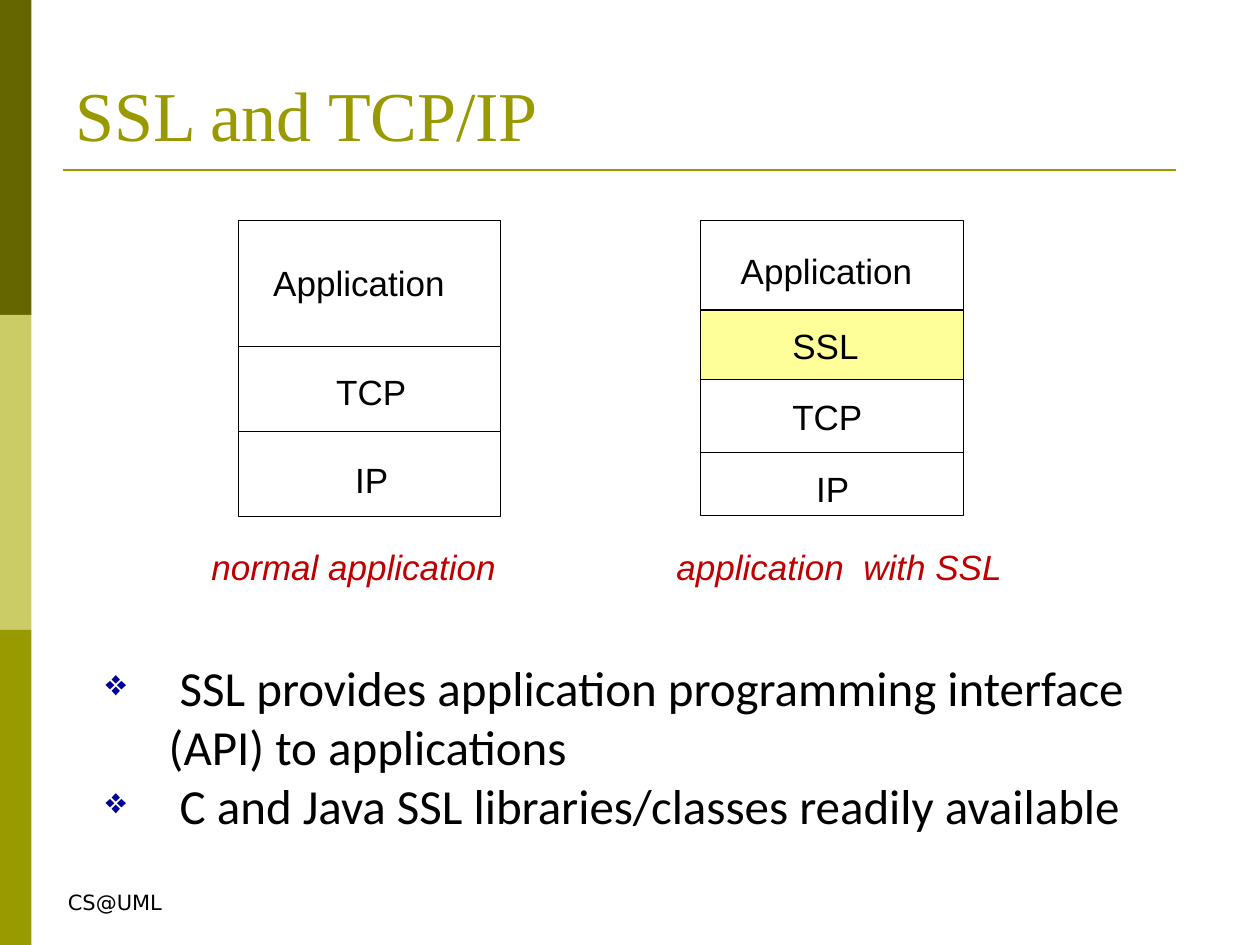
from lxml import etree
from pptx import Presentation
from pptx.dml.color import RGBColor
from pptx.enum import shapes, text
from pptx.oxml.ns import qn
from pptx.util import Inches, Pt


def tint(code):
    return RGBColor.from_string(code)


class Deck:
    cols, rows = 100, 75
    ink, olive, red, navy = "000000", "999900", "C00000", "000099"
    sans, serif, body, small = "Arial", "Times New Roman", "Calibri", "DejaVu Sans"

    def __init__(self):
        self.file = Presentation()
        self.file.slide_width, self.file.slide_height = Inches(10), Inches(7.5)
        self.slide = self.file.slides.add_slide(self.file.slide_layouts[6])

    def span(self, x, y, w, h):
        dx = self.file.slide_width / self.cols
        dy = self.file.slide_height / self.rows
        return [round(n) for n in (x * dx, y * dy, w * dx, h * dy)]

    def rect(self, x, y, w, h, fill=None, line=None):
        box = self.slide.shapes.add_shape(
            shapes.MSO_SHAPE.RECTANGLE, *self.span(x, y, w, h))
        box.shadow.inherit = False
        if fill:
            box.fill.solid()
            box.fill.fore_color.rgb = tint(fill)
        else:
            box.fill.background()
        if line:
            box.line.color.rgb = tint(line)
            box.line.width = Pt(0.75)
        else:
            box.line.fill.background()

    def rule(self, x, y, w):
        left, top, width, _ = self.span(x, y, w, 0)
        line = self.slide.shapes.add_connector(
            shapes.MSO_CONNECTOR.STRAIGHT, left, top, left + width, top)
        line.line.color.rgb = tint(self.olive)
        line.line.width = Pt(1.5)
        etree.SubElement(line._element.spPr, qn("a:effectLst"))

    def bullet(self, para):
        props = para._p.get_or_add_pPr()
        props.set("marL", str(Inches(0.5)))
        props.set("indent", str(-Inches(0.5)))
        color = etree.SubElement(props, qn("a:buClr"))
        etree.SubElement(color, qn("a:srgbClr"), val=self.navy)
        etree.SubElement(props, qn("a:buSzPct"), val="74000")
        etree.SubElement(props, qn("a:buChar"), char="❖")

    def label(self, x, y, w, h, *lines, size=20, face=sans, color=ink,
              slant=False, wrap=False, low=False, marks=False):
        frame = self.slide.shapes.add_textbox(*self.span(x, y, w, h)).text_frame
        frame.word_wrap = wrap
        if low:
            frame.vertical_anchor = text.MSO_ANCHOR.BOTTOM
        else:
            frame.auto_size = text.MSO_AUTO_SIZE.SHAPE_TO_FIT_TEXT
        frame.text = "\n".join(lines)
        for para in frame.paragraphs:
            if marks:
                self.bullet(para)
            font = para.font
            font.size, font.name, font.italic = Pt(size), face, slant
            font.color.rgb = tint(color)

    def stack(self, x, y, w, layers):
        for name, tall, fill, tx, ty, tw in layers:
            self.rect(x, y, w, tall, fill, self.ink)
            self.label(tx, ty, tw, 4.4, name)
            y += tall


def main():
    deck = Deck()
    for i, fill in enumerate(("666600", "CCCC66", deck.olive)):
        deck.rect(0, 25 * i, 2.5, 25, fill)
    deck.rule(5, 13.5, 88.3)
    deck.label(4.4, 70.1, 9.5, 3, "CS@UML", size=12, face=deck.small)
    deck.label(5, 3, 90, 9.8, "SSL and TCP/IP", size=40, face=deck.serif,
               color=deck.olive, wrap=True, low=True)

    deck.stack(18.9, 17.5, 20.8, [
        ("Application", 10, None, 20.7, 20.3, 15.8),
        ("TCP", 6.75, None, 25.7, 28.9, 7.6),
        ("IP", 6.75, None, 27.2, 35.9, 4.7),
    ])
    deck.stack(55.6, 17.5, 20.9, [
        ("Application", 7.1, None, 57.8, 19.3, 15.8),
        ("SSL", 5.5, "FFFF99", 61.9, 25.3, 7.4),
        ("TCP", 5.8, None, 61.9, 30.9, 7.7),
        ("IP", 5, None, 63.8, 36.6, 4.7),
    ])
    for x, w, name, wrap in ((15.8, 25.4, "normal application", False),
                             (52.7, 28.8, "application  with SSL", True)):
        deck.label(x, 42.8, w, 4.4, name, color=deck.red, slant=True, wrap=wrap)

    deck.label(7.4, 51.7, 84.2, 15.2,
               " SSL provides application programming interface (API) to applications",
               " C and Java SSL libraries/classes readily available",
               size=28, face=deck.body, wrap=True, marks=True)
    deck.file.save("out.pptx")


if __name__ == "__main__":
    main()
